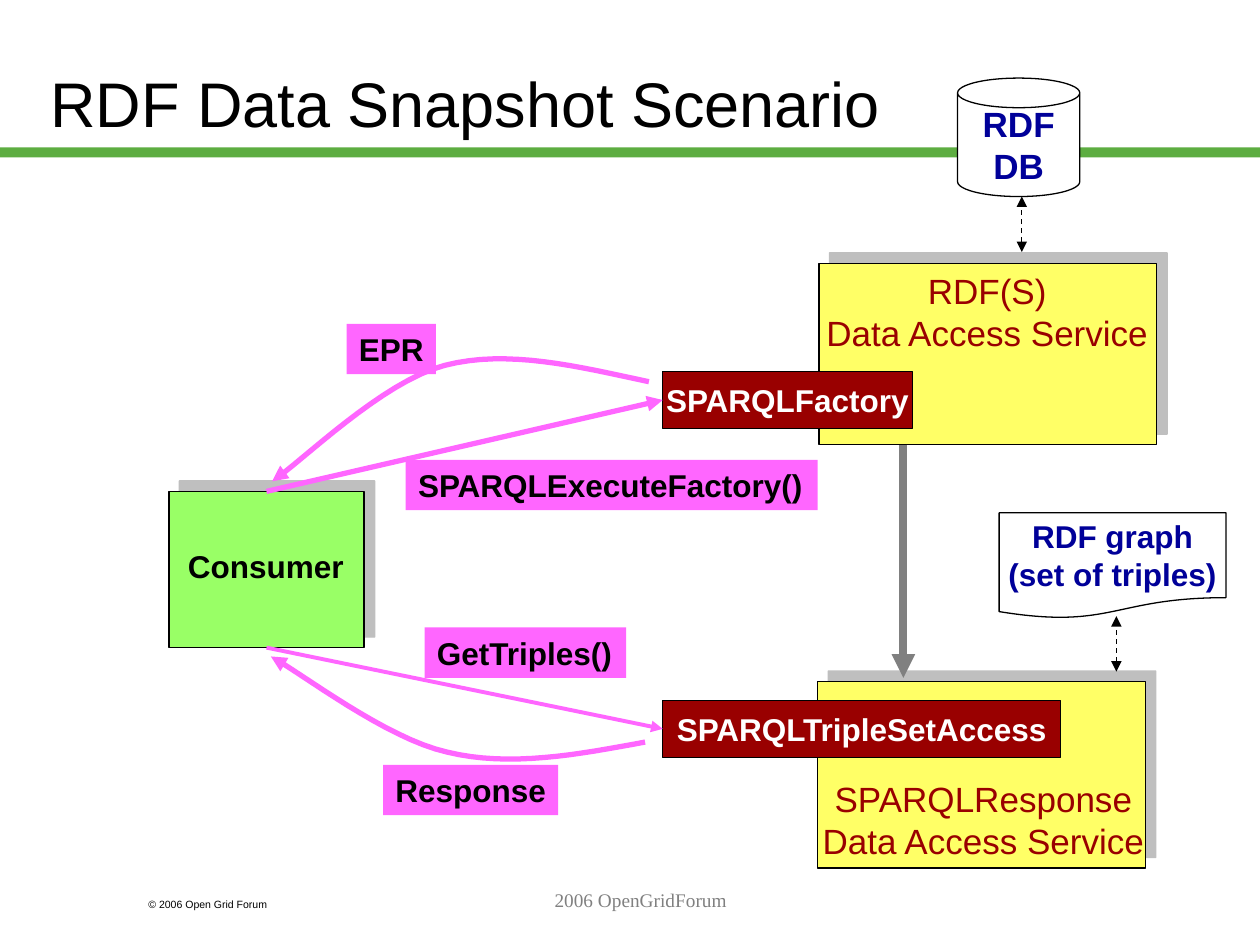
from dataclasses import dataclass
from typing import Optional

from lxml.etree import SubElement
from pptx import Presentation
from pptx.dml.color import RGBColor
from pptx.enum.dml import MSO_LINE
from pptx.enum.shapes import MSO_CONNECTOR, MSO_SHAPE
from pptx.enum.text import MSO_ANCHOR, MSO_AUTO_SIZE, PP_ALIGN
from pptx.oxml.ns import qn
from pptx.util import Pt

PX = 9144


@dataclass(frozen=True)
class Theme:
    black: str = "000000"
    white: str = "FFFFFF"
    gray: str = "808080"
    bar: str = "5DAD41"
    consumer: str = "99FF66"
    message: str = "FF66FF"
    service: str = "FFFF66"
    port: str = "990000"
    store: str = "000099"
    sans: str = "Arial"
    serif: str = "Times New Roman"
    title: int = 36
    large: int = 20
    body: int = 18
    footer: int = 11
    small: int = 6


T = Theme()


@dataclass(frozen=True)
class Font:
    color: str
    size: int = T.body
    bold: bool = True
    name: str = T.sans


@dataclass(frozen=True)
class Box:
    x: int
    y: int
    w: int
    h: int
    fill: str
    text: str = ""
    font: Font = Font(T.black)
    outlined: bool = True
    shadow: bool = False
    align: PP_ALIGN = PP_ALIGN.CENTER
    inset: int = 0
    preset: MSO_SHAPE = MSO_SHAPE.RECTANGLE


@dataclass(frozen=True)
class Stroke:
    color: str
    width: float
    double: bool = False


def rgb(value: str) -> RGBColor:
    return RGBColor.from_string(value)


def write(tf, text: str, font: Font, align=PP_ALIGN.CENTER, anchor=MSO_ANCHOR.TOP,
          wrap: bool = True, inset: int = 10) -> None:
    tf.text = text
    tf.word_wrap = wrap
    tf.auto_size = MSO_AUTO_SIZE.NONE
    tf.vertical_anchor = anchor
    tf.margin_left = tf.margin_right = inset * PX
    for p in tf.paragraphs:
        p.alignment = align
        p.font.name = font.name
        p.font.size = Pt(font.size)
        p.font.bold = font.bold
        p.font.color.rgb = rgb(font.color)


def add_shadow(sp) -> None:
    effects = sp.element.spPr.find(qn("a:effectLst"))
    shadow = SubElement(effects, qn("a:outerShdw"), dist=str(Pt(8.5)), dir="18900000", algn="ctr", rotWithShape="0")
    color = SubElement(shadow, qn("a:srgbClr"), val=T.gray)
    SubElement(color, qn("a:alpha"), val="50000")


def add_box(shapes, box: Box):
    sp = shapes.add_shape(box.preset, box.x * PX, box.y * PX, box.w * PX, box.h * PX)
    sp.shadow.inherit = False
    sp.fill.solid()
    sp.fill.fore_color.rgb = rgb(box.fill)
    if box.outlined:
        sp.line.color.rgb = rgb(T.black)
        sp.line.width = Pt(0.75)
    else:
        sp.line.fill.background()
    if box.shadow:
        add_shadow(sp)
    if box.text:
        write(sp.text_frame, box.text, box.font, box.align, MSO_ANCHOR.MIDDLE, False, box.inset)
    return sp


def add_message(shapes, x: int, y: int, w: int, text: str) -> None:
    add_box(shapes, Box(x, y, w, 40, T.message, text, outlined=False, align=PP_ALIGN.LEFT, inset=10))


def style_line(sp, stroke: Stroke) -> None:
    sp.line.color.rgb = rgb(stroke.color)
    sp.line.width = Pt(stroke.width)
    if stroke.double:
        sp.line.dash_style = MSO_LINE.DASH
    ln = sp.element.spPr.find(qn("a:ln"))
    if stroke.double:
        SubElement(ln, qn("a:headEnd"), type="triangle")
    SubElement(ln, qn("a:tailEnd"), type="triangle")


def add_arrow(shapes, start: tuple[int, int], end: tuple[int, int], stroke: Stroke,
              source: Optional[tuple] = None, target: Optional[tuple] = None) -> None:
    cx = shapes.add_connector(MSO_CONNECTOR.STRAIGHT, *(v * PX for v in start + end))
    if source:
        cx.begin_connect(*source)
    if target:
        cx.end_connect(*target)
    style_line(cx, stroke)
    SubElement(cx.element.spPr, qn("a:effectLst"))


def add_curve(shapes, points: list[tuple[int, int]], stroke: Stroke, steps: int = 16) -> None:
    trace = []
    for i in range(0, len(points) - 1, 3):
        for k in range(1, steps + 1):
            t = k / steps
            weights = ((1 - t) ** 3, 3 * t * (1 - t) ** 2, 3 * t * t * (1 - t), t ** 3)
            trace.append(tuple(
                round(PX * sum(c * p[axis] for c, p in zip(weights, points[i:i + 4])))
                for axis in (0, 1)))
    builder = shapes.build_freeform(points[0][0] * PX, points[0][1] * PX, scale=1.0)
    builder.add_line_segments(trace, close=False)
    sp = builder.convert_to_shape()
    sp.shadow.inherit = False
    sp.fill.background()
    style_line(sp, stroke)


def add_text(shapes, x: int, y: int, w: int, h: int, text: str, font: Font,
             align=PP_ALIGN.CENTER) -> None:
    tb = shapes.add_textbox(x * PX, y * PX, w * PX, h * PX)
    write(tb.text_frame, text, font, align)


def main() -> None:
    prs = Presentation()
    prs.slide_width, prs.slide_height = 1000 * PX, 750 * PX
    shapes = prs.slides.add_slide(prs.slide_layouts[5]).shapes

    title = shapes.title
    title.left, title.top, title.width, title.height = (v * PX for v in (30, 27, 739, 108))
    write(title.text_frame, "RDF Data Snapshot Scenario", Font(T.black, T.title, False),
          PP_ALIGN.LEFT, MSO_ANCHOR.MIDDLE)
    add_box(shapes, Box(0, 117, 1000, 8, T.bar, outlined=False))

    service_font = Font(T.port, T.large, False)
    port_font = Font(T.white)
    call = Stroke(T.message, 3)
    link = Stroke(T.black, 0.75, double=True)

    consumer = add_box(shapes, Box(134, 390, 155, 124, T.consumer, shadow=True))
    add_text(shapes, 138, 429, 146, 40, "Consumer", Font(T.black))

    add_box(shapes, Box(650, 209, 268, 144, T.service, shadow=True))
    add_box(shapes, Box(760, 62, 97, 94, T.white, "RDF\nDB", Font(T.store, T.large),
                        preset=MSO_SHAPE.CAN))
    add_arrow(shapes, (811, 200), (811, 156), link)
    factory = add_box(shapes, Box(526, 295, 198, 45, T.port, "SPARQLFactory", port_font))
    add_text(shapes, 643, 209, 281, 77, "RDF(S)\nData Access Service", service_font)

    add_box(shapes, Box(649, 541, 260, 148, T.service, shadow=True))
    access = add_box(shapes, Box(526, 556, 316, 45, T.port, "SPARQLTripleSetAccess", port_font))
    add_text(shapes, 637, 612, 287, 77, "SPARQLResponse\nData Access Service", service_font)

    add_message(shapes, 322, 365, 327, "SPARQLExecuteFactory()")
    add_arrow(shapes, (212, 390), (526, 318), call, (consumer, 0), (factory, 1))
    add_arrow(shapes, (212, 514), (526, 579), Stroke(T.message, 2.25), (consumer, 2), (access, 1))
    add_message(shapes, 337, 498, 160, "GetTriples()")
    add_curve(shapes, [(515, 303), (459, 291), (403, 277), (353, 290),
                       (303, 303), (239, 367), (216, 382)], call)
    add_message(shapes, 275, 257, 71, "EPR")
    add_curve(shapes, [(512, 589), (458, 599), (405, 609), (355, 597),
                       (306, 586), (239, 534), (215, 521)], call)
    add_message(shapes, 304, 607, 139, "Response")

    add_arrow(shapes, (717, 353), (717, 538), Stroke(T.gray, 4.5))
    add_box(shapes, Box(793, 407, 180, 84, T.white, "RDF graph\n(set of triples)",
                        Font(T.store), preset=MSO_SHAPE.FLOWCHART_DOCUMENT))
    add_arrow(shapes, (886, 533), (886, 489), link)

    add_text(shapes, 108, 708, 150, 20, "© 2006 Open Grid Forum",
             Font(T.black, T.small, False), PP_ALIGN.LEFT)
    add_text(shapes, 217, 700, 583, 50, "2006 OpenGridForum",
             Font(T.gray, T.footer, False, T.serif))
    prs.save("out.pptx")


if __name__ == "__main__":
    main()
